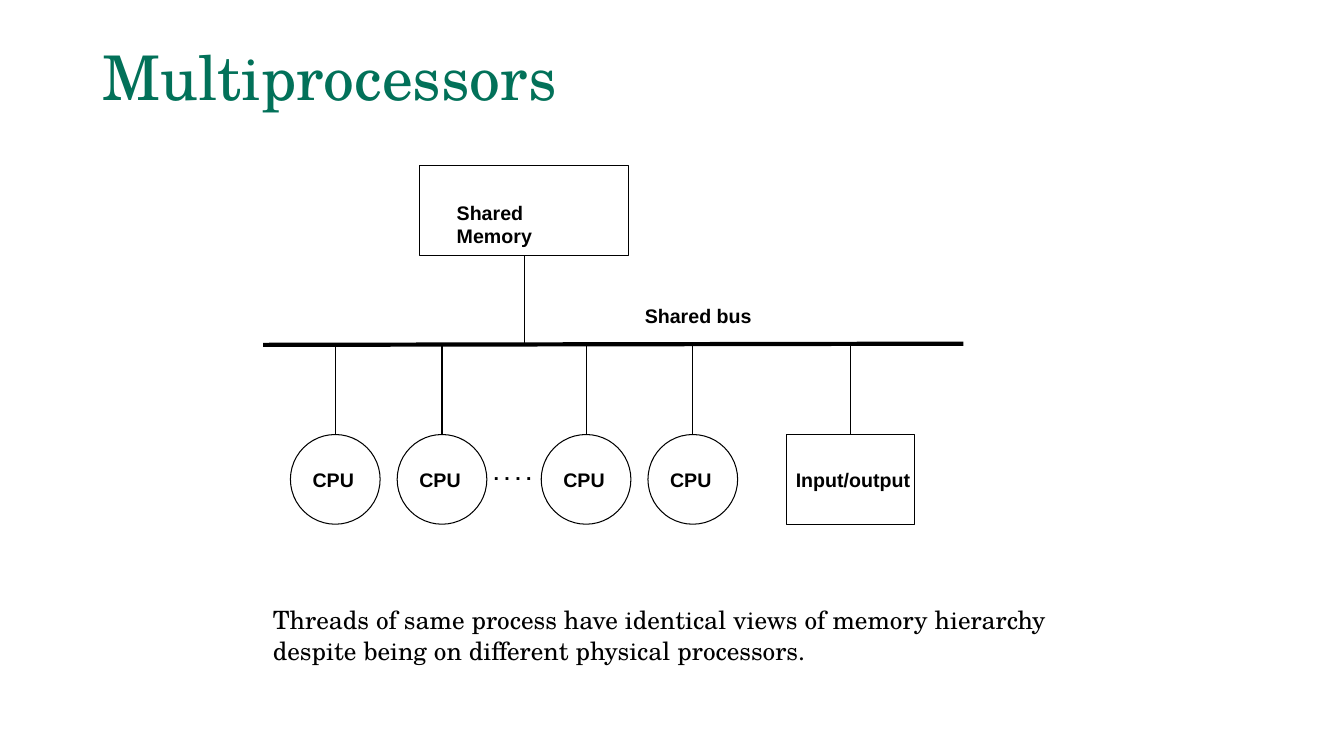
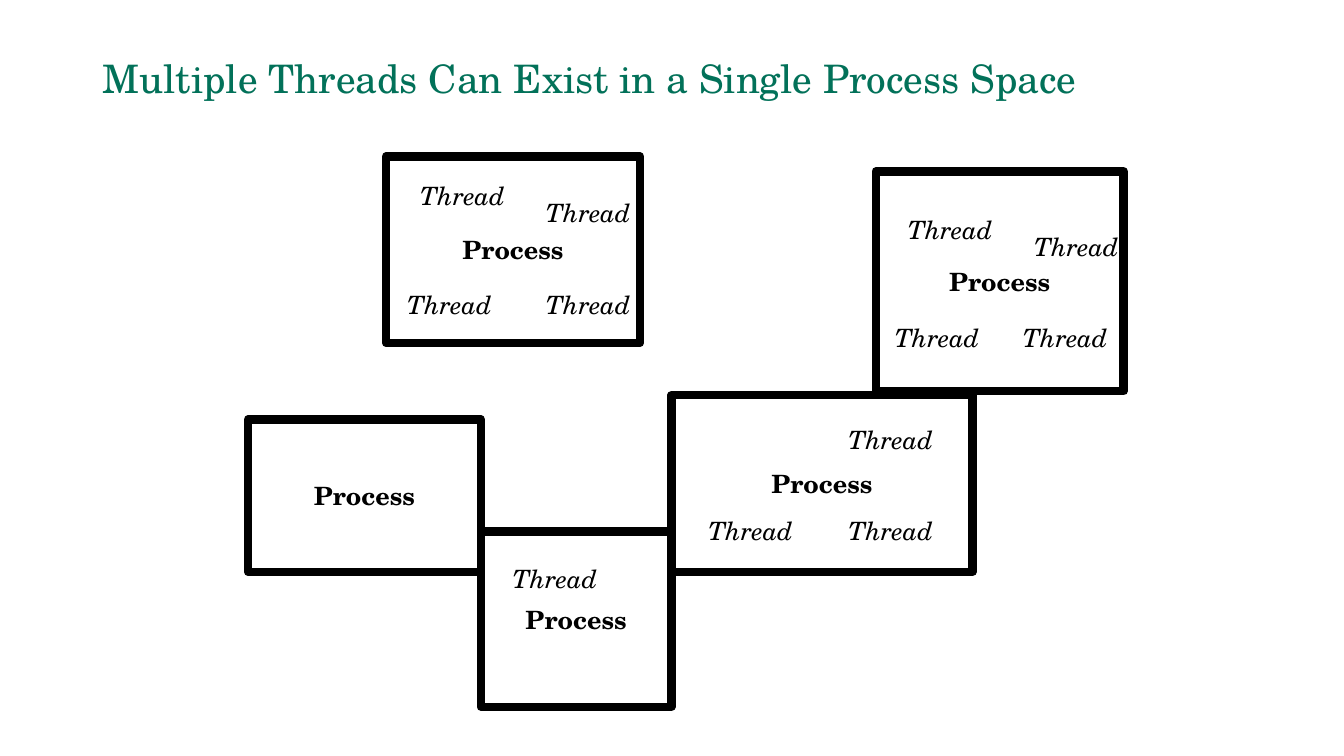
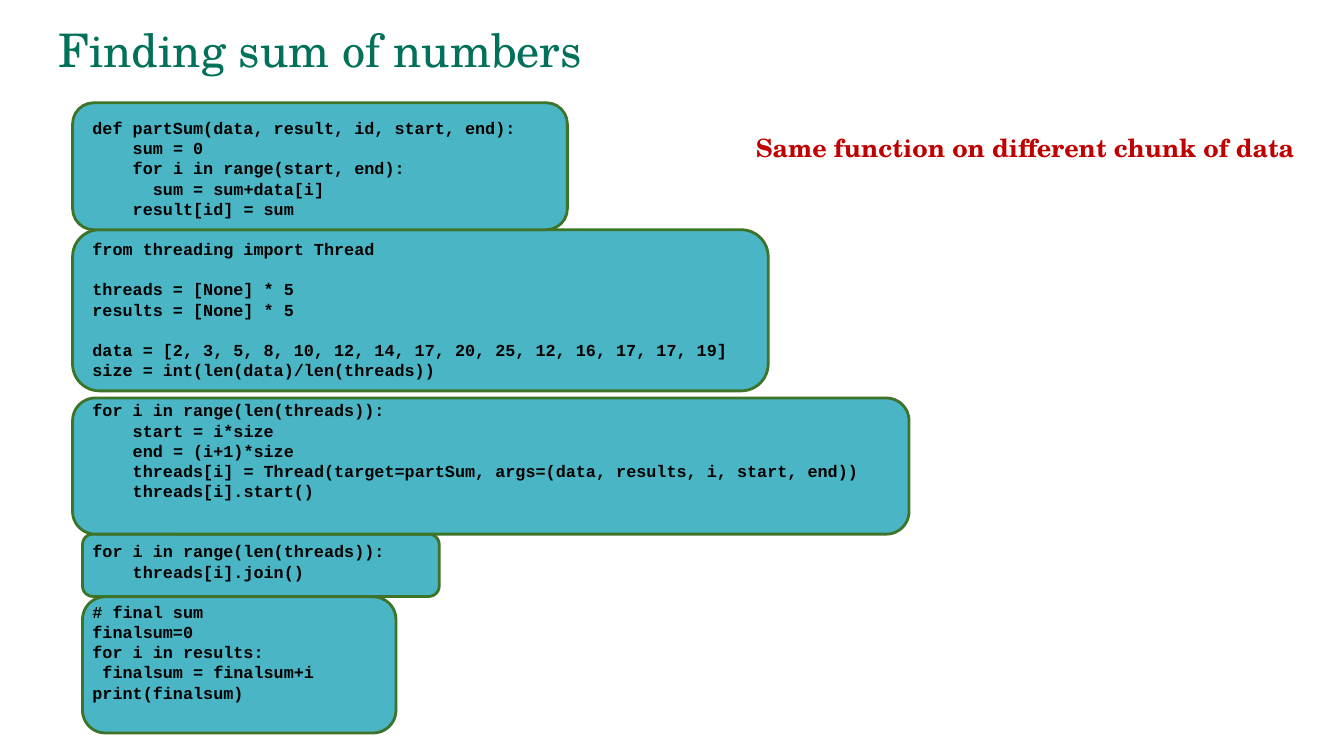
from dataclasses import dataclass

from lxml.etree import SubElement
from pptx import Presentation
from pptx.dml.color import RGBColor
from pptx.enum.shapes import MSO_CONNECTOR as CONN, MSO_SHAPE as SHAPE
from pptx.enum.text import MSO_ANCHOR as ANCHOR, PP_ALIGN as ALIGN
from pptx.oxml.ns import qn
from pptx.util import Cm, Pt


@dataclass(frozen=True)
class Theme:
    title: str = "027159"
    ink: str = "000000"
    accent: str = "C00000"
    block: str = "4AB5C4"
    block_edge: str = "3E742A"
    serif: str = "TeX Gyre Schola"
    sans: str = "Arial"
    mono: str = "Courier New"
    body_size: float = 18
    label_size: float = 14
    code_size: float = 12
    code_char: float = 7.2
    code_line: float = 14.4
    thin: float = 0.75
    edge: float = 2
    bus: float = 3
    thick: float = 6


T = Theme()
TEXT_INSETS = (0.25, 0.13, 0.25, 0.13)
LABEL_INSETS = (0.15, 0.08, 0.15, 0.08)
SERIF = dict(font=T.serif, size=T.body_size)
LABEL = dict(font=T.sans, size=T.label_size, bold=True)
CODE = dict(font=T.mono, size=T.code_size, bold=True)


class Deck:
    def __init__(self):
        self.prs = Presentation()
        self.prs.slide_width, self.prs.slide_height = Cm(33.87), Cm(19.05)

    def new_slide(self, title, size, box=(2.34, 1.02, 29.21, 2.03)):
        self.s = self.prs.slides.add_slide(self.prs.slide_layouts[6])
        p = self.text(box, title, anchor=ANCHOR.MIDDLE, font=T.serif,
                      size=size, color=T.title).paragraphs[0]
        p.line_spacing = 0.9

    def run(self, p, text, font, size, color=T.ink, bold=False, italic=False):
        r = p.add_run()
        r.text = text
        r.font.name, r.font.size = font, Pt(size)
        r.font.bold, r.font.italic = bold, italic
        r.font.color.rgb = RGBColor.from_string(color)

    def frame(self, sp, insets, wrap, anchor):
        tf = sp.text_frame
        tf.word_wrap, tf.vertical_anchor = wrap, anchor
        tf.margin_left, tf.margin_top, tf.margin_right, tf.margin_bottom = map(Cm, insets)
        return tf

    def text_box(self, box, insets=TEXT_INSETS, wrap=True, anchor=ANCHOR.TOP):
        return self.frame(self.s.shapes.add_textbox(*map(Cm, box)), insets, wrap, anchor)

    def text(self, box, text, insets=TEXT_INSETS, wrap=True, anchor=ANCHOR.TOP, **style):
        tf = self.text_box(box, insets, wrap, anchor)
        self.run(tf.paragraphs[0], text, **style)
        return tf

    def shape(self, kind, box, width, line=T.ink, fill=None):
        sp = self.s.shapes.add_shape(kind, *map(Cm, box))
        sp.shadow.inherit = False
        if fill:
            sp.fill.solid()
            sp.fill.fore_color.rgb = RGBColor.from_string(fill)
        else:
            sp.fill.background()
        sp.line.width = Pt(width)
        sp.line.color.rgb = RGBColor.from_string(line)
        SubElement(sp.line._get_or_add_ln(), qn("a:round"))
        return sp

    def node(self, kind, box, text, width=T.thin, insets=TEXT_INSETS, wrap=False,
             align=ALIGN.CENTER, anchor=ANCHOR.MIDDLE, **style):
        """Draw an outlined shape that carries its own label."""
        sp = self.shape(kind, box, width)
        p = self.frame(sp, insets, wrap, anchor).paragraphs[0]
        p.alignment = align
        self.run(p, text, **style)
        return sp

    def line(self, x1, y1, x2, y2, width=T.thin):
        c = self.s.shapes.add_connector(CONN.STRAIGHT, Cm(x1), Cm(y1), Cm(x2), Cm(y2))
        c.line.width = Pt(width)
        c.line.color.rgb = RGBColor.from_string(T.ink)
        SubElement(c._element.spPr, qn("a:effectLst"))
        return c

    def stem(self, sp, site, y):
        """Drop a vertical line from the middle of a shape's side to height y."""
        x = (sp.left + sp.width / 2) / Cm(1)
        self.line(x, y, x, y).begin_connect(sp, site)

    def code(self, box, lines):
        """Write code lines; an empty line becomes space before the next one."""
        tf = self.text_box(box)
        gap, p = 0, tf.paragraphs[0]
        for line in lines:
            if not line:
                gap += T.code_line
                continue
            if p.runs:
                p = tf.add_paragraph()
            code = line.lstrip()
            indent = Pt((len(line) - len(code)) * T.code_char)
            p._p.get_or_add_pPr().set("marL", str(indent))
            p.line_spacing, p.space_before = Pt(T.code_line), Pt(gap)
            self.run(p, code, **CODE)
            gap = 0


def multiprocessors(deck):
    deck.new_slide("Multiprocessors", 44)
    bus_y, cpu_y, size = 8.68, 10.95, 2.26
    memory = deck.node(SHAPE.RECTANGLE, (10.57, 4.17, 5.28, size), "Shared Memory",
                       insets=(0.94, 0.89, 0.94, 0), wrap=True, align=ALIGN.LEFT,
                       anchor=ANCHOR.TOP, **LABEL)
    units = [deck.node(SHAPE.OVAL, (x, cpu_y, size, size), "CPU",
                       insets=(0, 0, 0.1, 0), **LABEL)
             for x in (7.32, 10.01, 13.64, 16.33)]
    deck.text((12.29, 11.53, 1.3, 0.76), ". . . .", LABEL_INSETS, wrap=False, **LABEL)
    units.append(deck.node(SHAPE.RECTANGLE, (19.81, cpu_y, 3.23, size), "Input/output",
                           insets=(0.15, 0, 0, 0), **LABEL))
    deck.line(6.63, 8.69, 24.28, 8.66, T.bus)
    deck.stem(memory, 2, bus_y)
    for unit in units:
        deck.stem(unit, 0, bus_y)
    deck.text((16.1, 7.59, 3.07, 0.76), "Shared bus", LABEL_INSETS, **LABEL)
    deck.text((6.63, 15.11, 20.4, 2.24),
              "Threads of same process have identical views of memory hierarchy "
              "despite being on different physical processors.", **SERIF)


PROCESSES = [  # box, then the corner of each thread in it
    ((9.73, 3.94, 6.4, 4.7), [(10.34, 4.42), (13.51, 4.85), (10.01, 7.16), (13.51, 7.16)]),
    ((6.25, 10.57, 5.87, 3.84), []),
    ((12.12, 13.39, 4.8, 4.42), [(12.67, 14.07)]),
    ((16.92, 9.96, 7.59, 4.45), [(21.13, 10.57), (17.6, 12.85), (21.13, 12.85)]),
    ((22.07, 4.32, 6.25, 5.54), [(22.63, 5.28), (25.81, 5.69), (22.3, 8), (25.53, 8)]),
]


def process_space(deck):
    deck.new_slide("Multiple Threads Can Exist in a Single Process Space", 28)
    for box, threads in PROCESSES:
        deck.node(SHAPE.RECTANGLE, box, "Process", width=T.thick, bold=True, **SERIF)
        for x, y in threads:
            deck.text((x, y, 2.64, 1.02), "Thread", wrap=False, italic=True, **SERIF)


CODE_BLOCKS = [  # block, first row of the code grid, lines
    ((1.83, 2.59, 12.47, 3.2), 0, [
        "def partSum(data, result, id, start, end):",
        "    sum = 0",
        "    for i in range(start, end):",
        "      sum = sum+data[i]",
        "    result[id] = sum"]),
    ((1.83, 5.79, 17.53, 4.06), 6, [
        "from threading import Thread",
        "",
        "threads = [None] * 5",
        "results = [None] * 5",
        "",
        "data = [2, 3, 5, 8, 10, 12, 14, 17, 20, 25, 12, 16, 17, 17, 19]",
        "size = int(len(data)/len(threads))"]),
    ((1.83, 10.03, 21.08, 3.43), 14, [
        "for i in range(len(threads)):",
        "    start = i*size",
        "    end = (i+1)*size",
        "    threads[i] = Thread(target=partSum, args=(data, results, i, start, end))",
        "    threads[i].start()"]),
    ((2.08, 13.46, 8.99, 1.57), 21, [
        "for i in range(len(threads)):",
        "    threads[i].join()"]),
    ((2.08, 15.04, 7.9, 3.43), 24, [
        "# final sum",
        "finalsum=0",
        "for i in results:",
        " finalsum = finalsum+i",
        "print(finalsum)"]),
]


def sum_of_numbers(deck):
    deck.new_slide("Finding sum of numbers", 33, (1.22, 0.56, 29.21, 1.52))
    row_height = Pt(T.code_line) / Cm(1)
    for box, row, lines in reversed(CODE_BLOCKS):
        deck.shape(SHAPE.ROUNDED_RECTANGLE, box, T.edge, T.block_edge, T.block)
        deck.code((2.08, 2.84 + row * row_height, 21.34, len(lines) * row_height + 0.26), lines)
    deck.text((18.8, 3.2, 14.1, 1.02), "Same function on different chunk of data",
              wrap=False, color=T.accent, bold=True, **SERIF)


def main():
    deck = Deck()
    for build in (multiprocessors, process_space, sum_of_numbers):
        build(deck)
    deck.prs.save("out.pptx")


if __name__ == "__main__":
    main()
